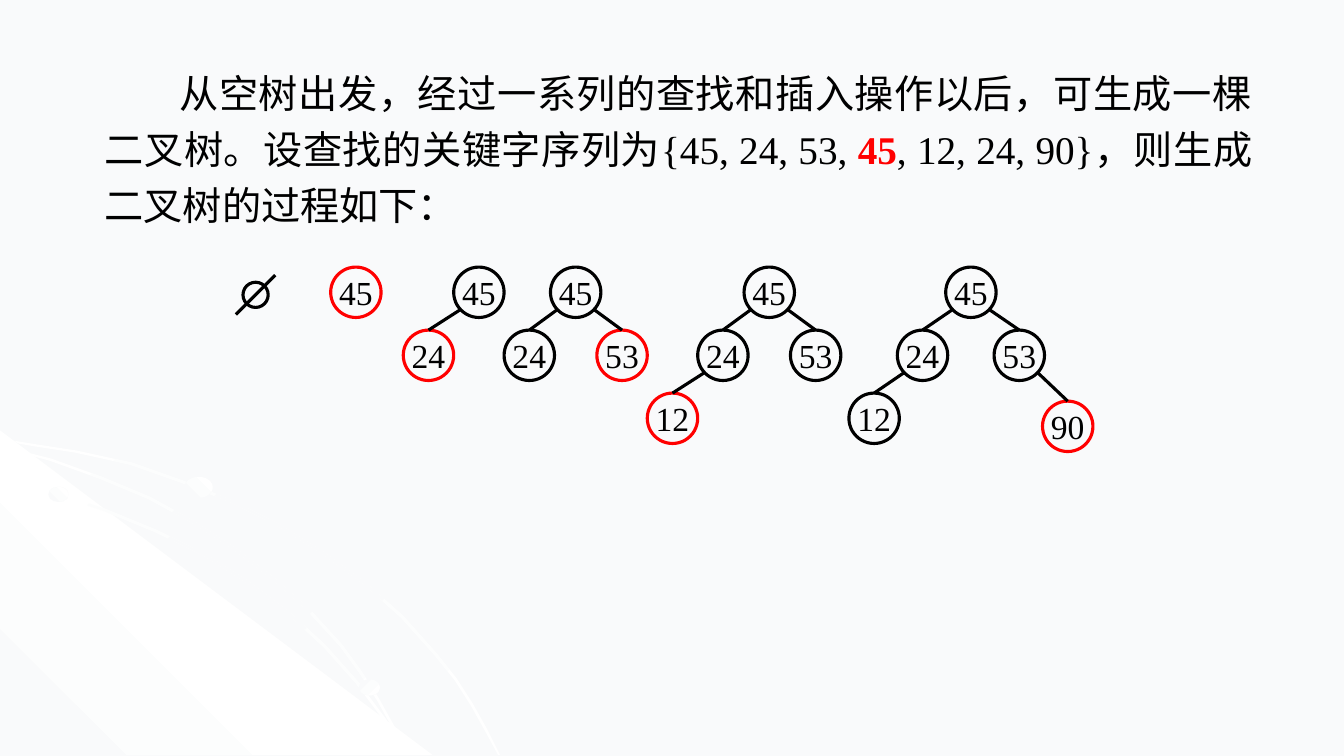
from dataclasses import dataclass

from lxml import etree
from pptx import Presentation
from pptx.dml.color import RGBColor
from pptx.enum.shapes import MSO_CONNECTOR, MSO_SHAPE
from pptx.enum.text import MSO_ANCHOR, PP_ALIGN
from pptx.oxml.ns import qn
from pptx.util import Inches, Pt


@dataclass(frozen=True)
class Theme:
    font: str = "Times New Roman"
    ink: str = "000000"
    red: str = "FF0000"
    back: str = "F9FAFB"
    white: str = "FFFFFF"
    body: int = 28
    key: int = 24
    line: float = 2.25


THEME = Theme()
WIDTH, HEIGHT = 13.33, 7.5
FLOOR = 7.49  # lowest point of the decoration

KEYS = [45, 24, 53, 45, 12, 24, 90]  # searched in this order
SIZE = 0.5    # node diameter
TOP = 2.65    # top of the roots
DROP = 0.625  # from one level to the next
EXTRA = {90: 0.08}  # further drop of single nodes
EDGE_X, EDGE_Y = 0.18, 0.17  # from a node's centre to where its edges start

# One tree per new key: left of its root, sideways step to levels 1 and 2
LAYOUT = [
    (3.28, ()),
    (4.50, (0.5,)),
    (5.46, (0.46,)),
    (7.38, (0.46, 0.5)),
    (9.38, (0.48, 0.48)),
]

WEDGE = [(0, 4.27), (4.29, FLOOR), (0, FLOOR)]
# Upper edges of the light streaks, left to right
LONG = [(0, 4.35), (0.37, 4.41), (0.76, 4.47), (1.31, 4.59), (1.82, 4.77),
        (2.32, 4.97), (2.79, 5.21), (3.22, 5.48), (3.63, 5.78), (4, 6.11),
        (4.33, 6.48), (4.53, 6.73), (4.69, 6.98), (4.83, 7.23), (4.96, FLOOR)]
LOWER = [(0, 4.75), (0.54, 4.88), (1.05, 5.05), (1.56, 5.26), (2.03, 5.49),
         (2.46, 5.76), (2.86, 6.06), (3.23, 6.4), (3.55, 6.76), (3.82, 7.12),
         (3.94, 7.3), (4.04, FLOOR)]
UPPER = [(0, 4.42), (0.51, 4.55), (1.01, 4.73), (1.49, 4.93), (1.91, 5.16),
         (2.33, 5.43), (2.72, 5.73), (3.06, 6.03), (3.39, 6.39), (3.58, 6.65),
         (3.76, 6.93), (3.91, 7.2), (4.04, FLOOR)]
THICK = 0.02
DOTS = [((0.48, 4.83, 0.2, 0.15), 315), ((3.56, 6.74, 0.21, 0.16), 45),
        ((1.83, 4.73, 0.28, 0.21), 315)]


def color(code):
    return RGBColor.from_string(code)


def write(para, text, size, tint=THEME.ink, bold=False):
    run = para.add_run()
    run.text = text
    run.font.name = THEME.font
    run.font.size = Pt(size)
    run.font.bold = bold
    run.font.color.rgb = color(tint)


def blend(shape, tints, angle):
    """Fill with evenly spaced gradient stops; angle runs clockwise."""
    shape.fill.gradient()
    shape.fill.gradient_angle = 360 - angle
    stops = shape.element.spPr.find(qn("a:gradFill")).find(qn("a:gsLst"))
    for stop in list(stops):
        stops.remove(stop)
    for i, tint in enumerate(tints):
        place = str(100000 * i // (len(tints) - 1))
        stop = etree.SubElement(stops, qn("a:gs"), pos=place)
        etree.SubElement(stop, qn("a:srgbClr"), val=tint)


def streak(curve):
    """Close a curve into a thin band by going back along its lower left."""
    under = [(max(0, x - THICK), min(FLOOR, y + THICK)) for x, y in curve]
    return curve + under[::-1]


def descend(root, key, links):
    """Return the parent a new key hangs from in a binary search tree."""
    node = root
    while (node, key < node) in links:
        node = links[node, key < node]
    return node


def grow(keys):
    """Yield the (key, parent) pairs of the tree after each new key."""
    nodes, links = [], {}
    for key in dict.fromkeys(keys):
        parent = descend(keys[0], key, links) if nodes else None
        if nodes:
            links[parent, key < parent] = key
        nodes.append((key, parent))
        yield list(nodes)


class Page:
    def __init__(self, deck, theme):
        self.theme = theme
        self.slide = deck.slides.add_slide(deck.slide_layouts[6])
        self.shapes = self.slide.shapes
        fill = self.slide.background.fill
        fill.solid()
        fill.fore_color.rgb = color(theme.back)

    def area(self, points, tints, angle):
        start, *rest = [(Inches(x), Inches(y)) for x, y in points]
        maker = self.shapes.build_freeform(*start)
        maker.add_line_segments(rest, close=True)
        shape = maker.convert_to_shape()
        shape.shadow.inherit = False
        shape.line.fill.background()
        blend(shape, tints, angle)

    def oval(self, box):
        shape = self.shapes.add_shape(MSO_SHAPE.OVAL, *map(Inches, box))
        shape.shadow.inherit = False
        return shape

    def dot(self, box, angle):
        shape = self.oval(box)
        shape.line.fill.background()
        blend(shape, [self.theme.back, self.theme.white], angle)

    def ring(self, box, tint):
        shape = self.oval(box)
        shape.fill.background()
        shape.line.color.rgb = color(tint)
        shape.line.width = Pt(self.theme.line)
        return shape

    def node(self, key, x, y, tint):
        shape = self.ring((x, y, SIZE, SIZE), tint)
        frame = shape.text_frame
        frame.word_wrap = False
        frame.vertical_anchor = MSO_ANCHOR.MIDDLE
        para = frame.paragraphs[0]
        para.alignment = PP_ALIGN.CENTER
        write(para, str(key), self.theme.key)
        return shape

    def line(self, *ends):
        link = self.shapes.add_connector(MSO_CONNECTOR.STRAIGHT,
                                         *map(Inches, ends))
        link.line.color.rgb = color(self.theme.ink)
        link.line.width = Pt(self.theme.line)
        etree.SubElement(link.element.spPr, qn("a:effectLst"))
        return link

    def tree(self, left, steps, nodes):
        """Draw a tree; its last node is the new one, in red."""
        spots = {}  # key: left, top, level
        newest = nodes[-1][0]
        for key, parent in nodes:
            tint = self.theme.red if key == newest else self.theme.ink
            if parent is None:
                spots[key] = left, TOP, 0
                self.node(key, left, TOP, tint)
                continue
            px, py, level = spots[parent]
            side = -1 if key < parent else 1
            x = px + side * steps[level]
            y = py + DROP + EXTRA.get(key, 0)
            spots[key] = x, y, level + 1
            shape = self.node(key, x, y, tint)
            half = SIZE / 2
            edge = self.line(px + half + side * EDGE_X, py + half + EDGE_Y,
                             x + half, y)
            edge.end_connect(shape, 0)

    def empty(self):
        """Draw the empty-set sign that stands for the empty tree."""
        self.ring((2.41, 2.8, 0.25, 0.25), self.theme.ink)
        self.line(2.73, 2.73, 2.34, 3.12)

    def intro(self, box, parts):
        frame = self.shapes.add_textbox(*map(Inches, box)).text_frame
        frame.word_wrap = True
        para = frame.paragraphs[0]
        para.alignment = PP_ALIGN.JUSTIFY
        para.line_spacing = 1.2
        para._p.get_or_add_pPr().set("indent", str(Inches(0.74)))
        for text, style in parts:
            write(para, text, self.theme.body, **style)


def main():
    deck = Presentation()
    deck.slide_width, deck.slide_height = Inches(WIDTH), Inches(HEIGHT)
    page = Page(deck, THEME)

    glow = [THEME.white, THEME.back, THEME.white]
    page.area(streak(LONG), glow, 45)
    page.area(WEDGE, [THEME.back, THEME.white, THEME.back], 315)
    for curve in (LOWER, UPPER):
        page.area(streak(curve), glow, 45)
    for box, angle in DOTS:
        page.dot(box, angle)

    page.intro((0.94, 0.54, 11.58, 1.88), [
        ("从空树出发，经过一系列的查找和插入操作以后，可生成一棵二叉树。"
         "设查找的关键字序列为{45, 24, 53, ", {}),
        ("45", {"tint": THEME.red, "bold": True}),
        (", 12, 24, 90}，则生成二叉树的过程如下：", {}),
    ])
    page.empty()
    for (left, steps), nodes in zip(LAYOUT, grow(KEYS)):
        page.tree(left, steps, nodes)
    deck.save("out.pptx")


if __name__ == "__main__":
    main()
